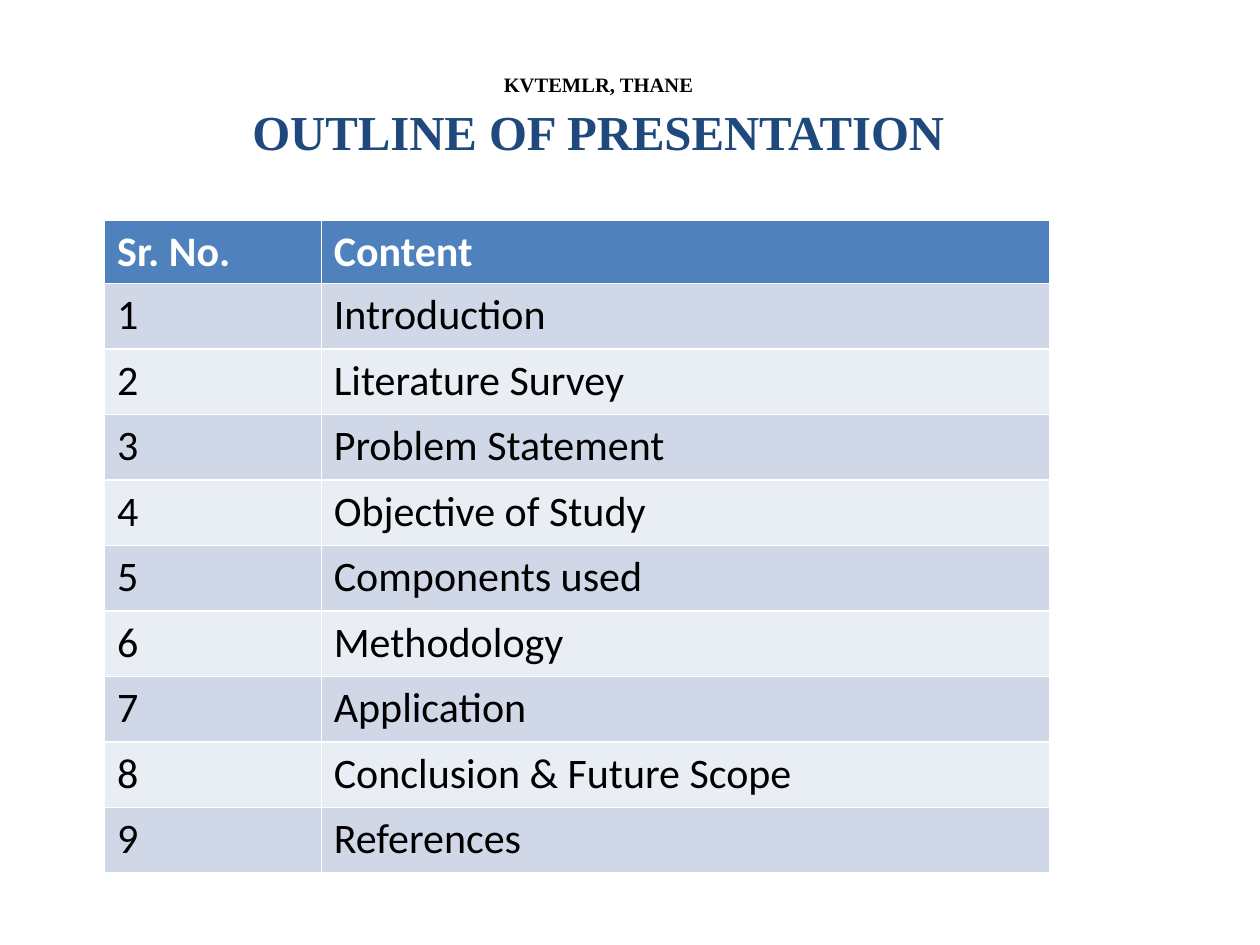
from dataclasses import dataclass

from pptx import Presentation
from pptx.dml.color import RGBColor
from pptx.enum.text import MSO_ANCHOR, PP_ALIGN
from pptx.util import Inches, Pt


@dataclass(frozen=True)
class Theme:
    serif: str = "Times New Roman"
    sans: str = "Calibri"
    ink: str = "000000"
    navy: str = "1F497D"
    white: str = "FFFFFF"
    head: str = "4F81BD"
    bands: tuple = ("D0D8E8", "E9EDF4")
    small: float = 11.7
    large: float = 27.9
    body: float = 24


THEME = Theme()
TITLE = (
    ("KVTEMLR, THANE", THEME.small, THEME.ink, 0),
    ("OUTLINE OF PRESENTATION", THEME.large, THEME.navy, 3),
)
HEADS = ("Sr. No.", "Content")
TOPICS = (
    "Introduction",
    "Literature Survey",
    "Problem Statement",
    "Objective of Study",
    "Components used",
    "Methodology",
    "Application",
    "Conclusion & Future Scope",
    "References",
)
WIDTHS = (1.72, 5.78)
HEAD_H, ROW_H = 0.49, 0.52


def apply(item, values):
    for name, value in values.items():
        setattr(item, name, value)


def add_run(para, text, color, form):
    run = para.add_run()
    run.text = text
    apply(run.font, form)
    run.font.color.rgb = RGBColor.from_string(color)


def add_title(slide):
    box = slide.shapes.add_textbox(Inches(0.25), Inches(0.57), Inches(9), Inches(1))
    frame = box.text_frame
    apply(frame, {
        "word_wrap": True, "vertical_anchor": MSO_ANCHOR.TOP,
        "margin_top": 0, "margin_bottom": 0,
    })
    for index, (text, size, color, gap) in enumerate(TITLE):
        para = frame.add_paragraph() if index else frame.paragraphs[0]
        apply(para, {"alignment": PP_ALIGN.CENTER, "space_before": Pt(gap)})
        add_run(para, text, color, {"name": THEME.serif, "size": Pt(size), "bold": True})


def fill_cell(cell, text, fill, color, bold):
    cell.fill.solid()
    cell.fill.fore_color.rgb = RGBColor.from_string(fill)
    form = {"name": THEME.sans, "size": Pt(THEME.body), "bold": bold}
    add_run(cell.text_frame.paragraphs[0], text, color, form)


def add_grid(slide):
    rows = [HEADS] + [(str(num), topic) for num, topic in enumerate(TOPICS, 1)]
    height = HEAD_H + ROW_H * len(TOPICS)
    table = slide.shapes.add_table(
        len(rows), len(WIDTHS), Inches(0.83), Inches(1.75),
        Inches(sum(WIDTHS)), Inches(height),
    ).table
    for column, width in zip(table.columns, WIDTHS):
        column.width = Inches(width)
    for index, texts in enumerate(rows):
        is_head = index == 0
        table.rows[index].height = Inches(HEAD_H if is_head else ROW_H)
        fill = THEME.head if is_head else THEME.bands[(index - 1) % 2]
        color = THEME.white if is_head else THEME.ink
        for cell, text in zip(table.rows[index].cells, texts):
            fill_cell(cell, text, fill, color, is_head)


def main():
    deck = Presentation()
    apply(deck, {"slide_width": Inches(10), "slide_height": Inches(7.5)})
    slide = deck.slides.add_slide(deck.slide_layouts[6])
    add_title(slide)
    add_grid(slide)
    deck.save("out.pptx")


if __name__ == "__main__":
    main()
